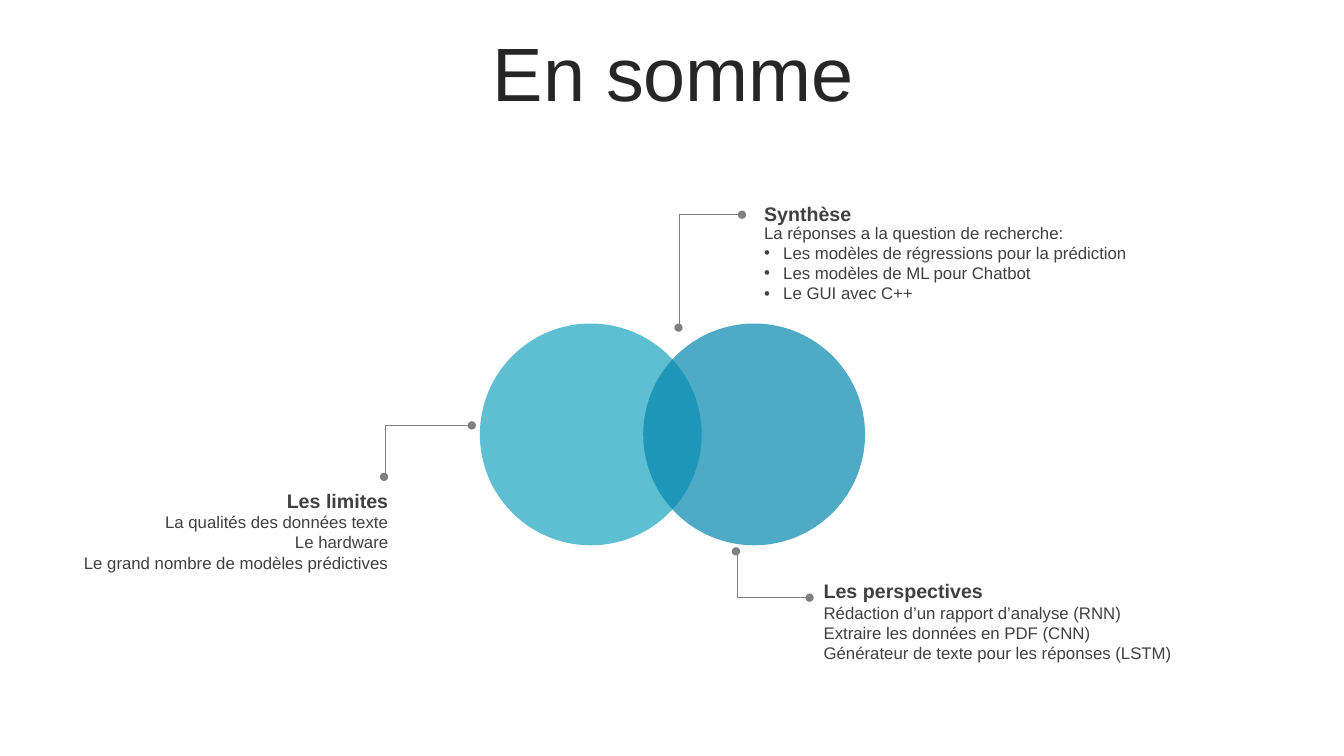
from dataclasses import dataclass

from lxml import etree
from pptx import Presentation
from pptx.dml.color import RGBColor
from pptx.enum.shapes import MSO_CONNECTOR, MSO_SHAPE
from pptx.enum.text import MSO_ANCHOR, MSO_AUTO_SIZE, PP_ALIGN
from pptx.oxml.ns import qn
from pptx.util import Inches, Pt

BULLET = "•"
DIAMETER = 2.2
CIRCLE_TOP = 3.21
HEADING = {"name": "Arial", "size": Pt(14), "bold": True}
BODY = {"name": "Arial", "size": Pt(12), "bold": False}


@dataclass
class Circle:
    left: float
    color: str


@dataclass
class Callout:
    heading: str
    lines: list[str]
    left: float
    width: float
    heading_top: float
    body_top: float
    align: PP_ALIGN
    leader_start: tuple[float, float]  # leaves horizontally
    leader_end: tuple[float, float]  # arrives vertically
    bend: float
    bulleted_from: int = 99


CIRCLES = [Circle(4.76, "19A5BE"), Circle(6.38, "0587AF")]

CALLOUTS = [
    Callout("Les perspectives",
            ["Rédaction d’un rapport d’analyse (RNN)",
             "Extraire les données en PDF (CNN)",
             "Générateur de texte pour les réponses (LSTM)"],
            8.07, 4.51, 5.69, 5.93, PP_ALIGN.LEFT,
            (8.03, 5.93), (7.3, 5.47), 0.98),
    Callout("Les limites",
            ["La qualités des données texte",
             "Le hardware",
             "Le grand nombre de modèles prédictives"],
            0.54, 3.41, 4.8, 5.03, PP_ALIGN.RIGHT,
            (4.68, 4.22), (3.81, 4.73), 0.99),
    Callout("Synthèse",
            ["La réponses a la question de recherche:",
             "Les modèles de régressions pour la prédiction",
             "Les modèles de ML pour Chatbot",
             "Le GUI avec C++"],
            7.48, 4.53, 1.95, 2.16, PP_ALIGN.LEFT,
            (7.36, 2.13), (6.73, 3.25), 0.99, bulleted_from=1),
]


def rgb(color: str) -> RGBColor:
    return RGBColor.from_string(color)


def format_font(font, values: dict, color: str) -> None:
    for attribute, value in values.items():
        setattr(font, attribute, value)
    font.color.rgb = rgb(color)


def add_bullet(paragraph) -> None:
    properties = paragraph._p.get_or_add_pPr()
    properties.set("marL", str(Inches(0.19)))
    properties.set("indent", str(Inches(-0.19)))
    etree.SubElement(properties, qn("a:buFont")).set("typeface", "Arial")
    etree.SubElement(properties, qn("a:buChar")).set("char", BULLET)


def draw_text(slide, callout: Callout, top: float, lines: list[str],
              values: dict, height: float, bulleted_from: int = 99) -> None:
    box = slide.shapes.add_textbox(Inches(callout.left), Inches(top),
                                   Inches(callout.width), Inches(height))
    frame = box.text_frame
    frame.word_wrap = True
    frame.auto_size = MSO_AUTO_SIZE.SHAPE_TO_FIT_TEXT
    frame.text = "\n".join(lines)
    for index, paragraph in enumerate(frame.paragraphs):
        paragraph.alignment = callout.align
        if index >= bulleted_from:
            add_bullet(paragraph)
        format_font(paragraph.font, values, "404040")


def draw_leader(slide, callout: Callout) -> None:
    ends = [Inches(v) for v in callout.leader_start + callout.leader_end]
    leader = slide.shapes.add_connector(MSO_CONNECTOR.ELBOW, *ends)
    leader.line.width = Pt(0.5)
    leader.line.color.rgb = rgb("808080")
    # Bend position, round ends and no shadow
    properties = leader._element.spPr
    guide = etree.SubElement(properties.prstGeom.get_or_add_avLst(), qn("a:gd"))
    guide.set("name", "adj1")
    guide.set("fmla", f"val {round(callout.bend * 100000)}")
    outline = properties.find(qn("a:ln"))
    for end in ("a:headEnd", "a:tailEnd"):
        etree.SubElement(outline, qn(end)).set("type", "oval")
    etree.SubElement(properties, qn("a:effectLst"))


def draw_circle(slide, circle: Circle) -> None:
    disc = slide.shapes.add_shape(MSO_SHAPE.OVAL, Inches(circle.left), Inches(CIRCLE_TOP),
                                  Inches(DIAMETER), Inches(DIAMETER))
    disc.shadow.inherit = False
    disc.line.fill.background()
    disc.fill.solid()
    disc.fill.fore_color.rgb = rgb(circle.color)
    tint = disc._element.spPr.find(qn("a:solidFill"))[0]
    etree.SubElement(tint, qn("a:alpha")).set("val", "70000")


def draw_callout(slide, callout: Callout) -> None:
    draw_text(slide, callout, callout.heading_top, [callout.heading], HEADING, 0.34)
    draw_text(slide, callout, callout.body_top, callout.lines, BODY,
              0.11 + 0.2 * len(callout.lines), callout.bulleted_from)
    draw_leader(slide, callout)


def draw_title(slide, text: str) -> None:
    title = slide.shapes.title
    place = {"left": 0.35, "top": 0.37, "width": 12.66, "height": 0.79}
    for side, value in place.items():
        setattr(title, side, Inches(value))
    frame = title.text_frame
    frame.text = text
    frame.auto_size = MSO_AUTO_SIZE.NONE
    frame.vertical_anchor = MSO_ANCHOR.MIDDLE
    heading = frame.paragraphs[0]
    heading.alignment = PP_ALIGN.CENTER
    heading.line_spacing = 0.9
    format_font(heading.font, {"name": "Arial", "size": Pt(54)}, "262626")


def main() -> None:
    deck = Presentation()
    deck.slide_width, deck.slide_height = Inches(13.33), Inches(7.5)
    slide = deck.slides.add_slide(deck.slide_layouts[5])

    draw_title(slide, "En somme")
    # Overlapping circles
    for circle in CIRCLES:
        draw_circle(slide, circle)
    # Callouts with their leader lines
    for callout in CALLOUTS:
        draw_callout(slide, callout)

    deck.save("out.pptx")


if __name__ == "__main__":
    main()
